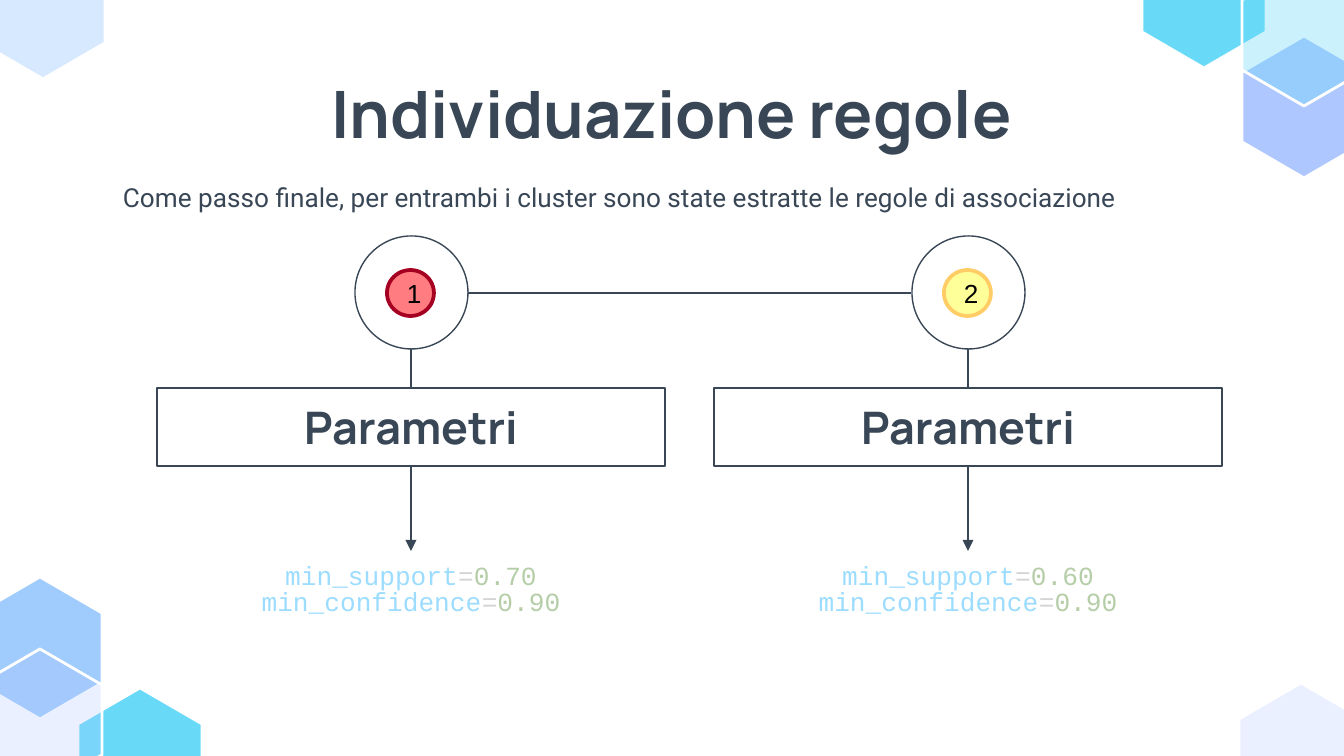
from dataclasses import dataclass

from pptx import Presentation
from pptx.dml.color import RGBColor
from pptx.enum.shapes import MSO_CONNECTOR, MSO_SHAPE
from pptx.enum.text import MSO_ANCHOR, PP_ALIGN
from pptx.oxml.ns import qn
from pptx.util import Pt
from lxml.etree import SubElement

EMU_PER_PX = 914400 / 134.4


@dataclass(frozen=True)
class Theme:
    ink: str = "384655"
    white: str = "FFFFFF"
    black: str = "000000"
    cyan: str = "68DAF8"
    sky: str = "9FCBFD"
    lavender: str = "AFC7FF"
    code_name: str = "9CDCFE"
    code_sign: str = "D4D4D4"
    code_value: str = "B5CEA8"
    red: tuple = ("FF7C80", "A50021")
    yellow: tuple = ("FFFF99", "FFCC66")
    heading_font: str = "Manrope"
    body_font: str = "Roboto"
    code_font: str = "Courier New"
    number_font: str = "Arial"
    title_size: int = 35
    label_size: int = 24
    text_size: int = 14
    thin: float = 0.75
    hexagon_line: float = 1.5
    badge_line: float = 2


THEME = Theme()


def px(value):
    return round(value * EMU_PER_PX)


def rgb(value):
    return RGBColor.from_string(value)


def write_text(shape, text, *, font, size, color=THEME.ink, bold=False, inset=13,
               align=PP_ALIGN.CENTER, anchor=MSO_ANCHOR.TOP, spacing=None):
    """Fill a shape with one paragraph; text is a string or (text, colour) pairs."""
    frame = shape.text_frame
    frame.word_wrap = True
    frame.vertical_anchor = anchor
    frame.margin_left = frame.margin_right = px(inset)
    frame.margin_top = frame.margin_bottom = px(inset)
    paragraph = frame.paragraphs[0]
    paragraph.alignment = align
    paragraph.line_spacing = spacing
    for part, part_color in [(text, color)] if isinstance(text, str) else text:
        run = paragraph.add_run()
        run.text = part
        run.font.name = font
        run.font.size = Pt(size)
        run.font.bold = bold
        run.font.color.rgb = rgb(part_color)


def add_text(slide, box, text, **text_format):
    shape = slide.shapes.add_textbox(*map(px, box))
    write_text(shape, text, **text_format)


def style_shape(shape, fill, line, width):
    shape.shadow.inherit = False
    if fill:
        shape.fill.solid()
        shape.fill.fore_color.rgb = rgb(fill)
    else:
        shape.fill.background()
    shape.line.color.rgb = rgb(line)
    shape.line.width = Pt(width)


def add_outline(slide, kind, box, fill=None, line=THEME.ink, width=THEME.thin):
    shape = slide.shapes.add_shape(kind, *map(px, box))
    style_shape(shape, fill, line, width)
    return shape


def add_hexagon(slide, left, top, color, opacity=100):
    width, height, corner = 124, 142, 36
    middle, right, bottom = left + width / 2, left + width, top + height
    builder = slide.shapes.build_freeform(middle, top, scale=EMU_PER_PX)
    builder.add_line_segments([
        (left, top + corner), (left, bottom - corner), (middle, bottom),
        (right, bottom - corner), (right, top + corner)])
    shape = builder.convert_to_shape()
    style_shape(shape, color, THEME.white, THEME.hexagon_line)
    if opacity < 100:
        fill = shape.fill._xPr.find(qn("a:solidFill"))
        SubElement(fill[0], qn("a:alpha"), val=str(opacity * 1000))


def add_line(slide, start, end, arrow=False):
    line = slide.shapes.add_connector(MSO_CONNECTOR.STRAIGHT, *map(px, start + end))
    line.line.color.rgb = rgb(THEME.ink)
    line.line.width = Pt(THEME.thin)
    if arrow:
        SubElement(line.line._get_or_add_ln(), qn("a:tailEnd"), type="triangle")
    SubElement(line._element.spPr, qn("a:effectLst"))


def add_cluster(slide, left, number, colors, support, confidence):
    """One column: numbered circle, label box, arrow and parameters."""
    width = 508
    center = left + width // 2

    # Label and parameters
    label = add_outline(slide, MSO_SHAPE.RECTANGLE, (left, 388, width, 78))
    write_text(label, "Parametri", font=THEME.heading_font, size=THEME.label_size,
               bold=True, anchor=MSO_ANCHOR.MIDDLE)
    parameters = [
        ("min_support", THEME.code_name), ("=", THEME.code_sign),
        (support + " ", THEME.code_value),
        ("min_confidence", THEME.code_name), ("=", THEME.code_sign),
        (confidence, THEME.code_value)]
    add_text(slide, (left, 551, width, 85), parameters, font=THEME.code_font,
             size=THEME.text_size, spacing=Pt(14.2))

    # Connections
    add_line(slide, (center, 466), (center, 551), arrow=True)
    add_line(slide, (center, 349), (center, 388))

    # Numbered circle
    add_outline(slide, MSO_SHAPE.OVAL, (center - 56, 236, 113, 113))
    fill, line = colors
    badge = add_outline(slide, MSO_SHAPE.OVAL, (center - 24, 270, 47, 46),
                        fill, line, THEME.badge_line)
    write_text(badge, number, font=THEME.number_font, size=THEME.text_size,
               color=THEME.black, inset=13, anchor=MSO_ANCHOR.MIDDLE)


def main():
    presentation = Presentation()
    presentation.slide_width, presentation.slide_height = px(1344), px(756)
    slide = presentation.slides.add_slide(presentation.slide_layouts[6])

    # Corner hexagons
    for hexagon in [
        (78, 688, THEME.cyan), (-22, 577, THEME.sky),
        (-22, 649, THEME.lavender, 25), (1239, 683, THEME.lavender, 25),
        (-19, -63, THEME.sky, 41), (1142, -74, THEME.cyan),
        (1242, 36, THEME.lavender), (1242, -36, THEME.cyan, 34),
    ]:
        add_hexagon(slide, *hexagon)

    # Title and introduction
    add_text(slide, (110, 164, 1124, 105),
             "Come passo finale, per entrambi i cluster sono state estratte "
             "le regole di associazione",
             font=THEME.body_font, size=THEME.text_size,
             align=PP_ALIGN.LEFT, spacing=1.15)
    add_text(slide, (110, 60, 1124, 85), "Individuazione regole",
             font=THEME.heading_font, size=THEME.title_size, bold=True)

    # Clusters and the line that joins them
    add_cluster(slide, 157, "1", THEME.red, "0.70", "0.90")
    add_cluster(slide, 714, "2", THEME.yellow, "0.60", "0.90")
    add_line(slide, (468, 293), (911, 293))

    presentation.save("out.pptx")


if __name__ == "__main__":
    main()
